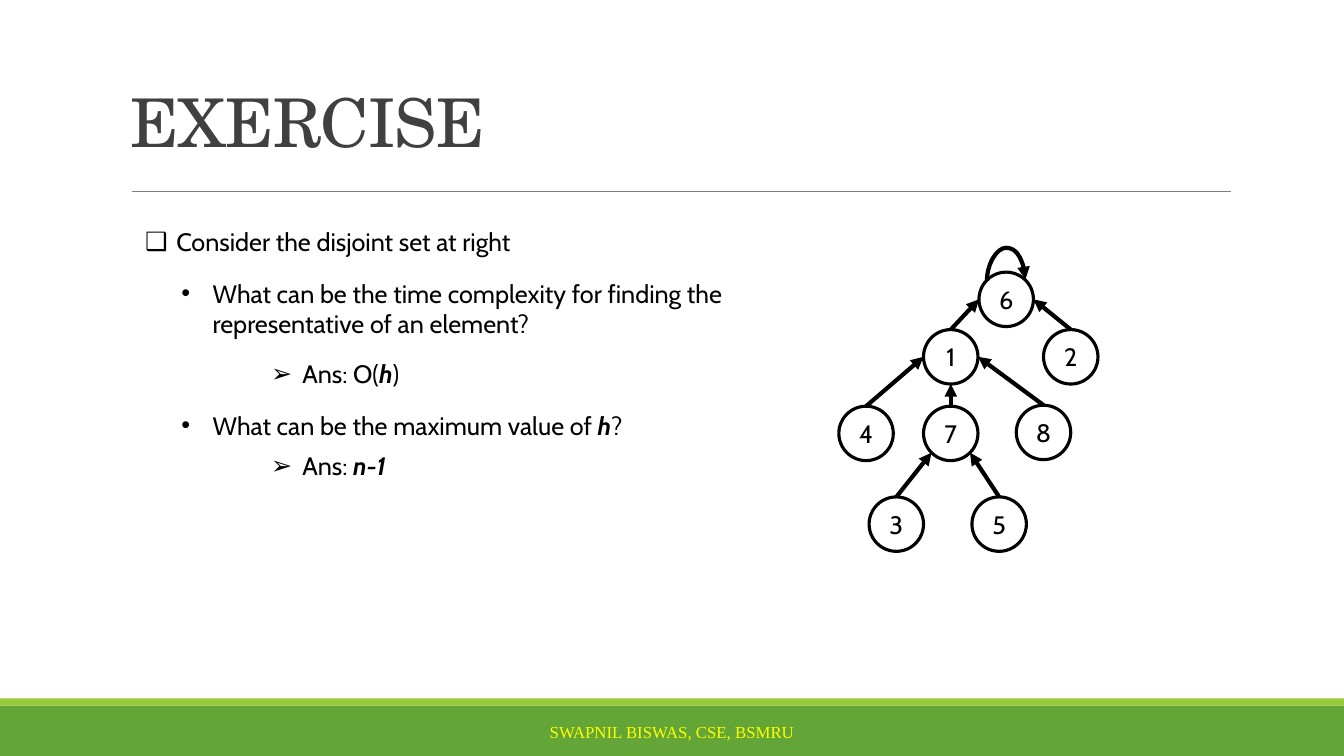
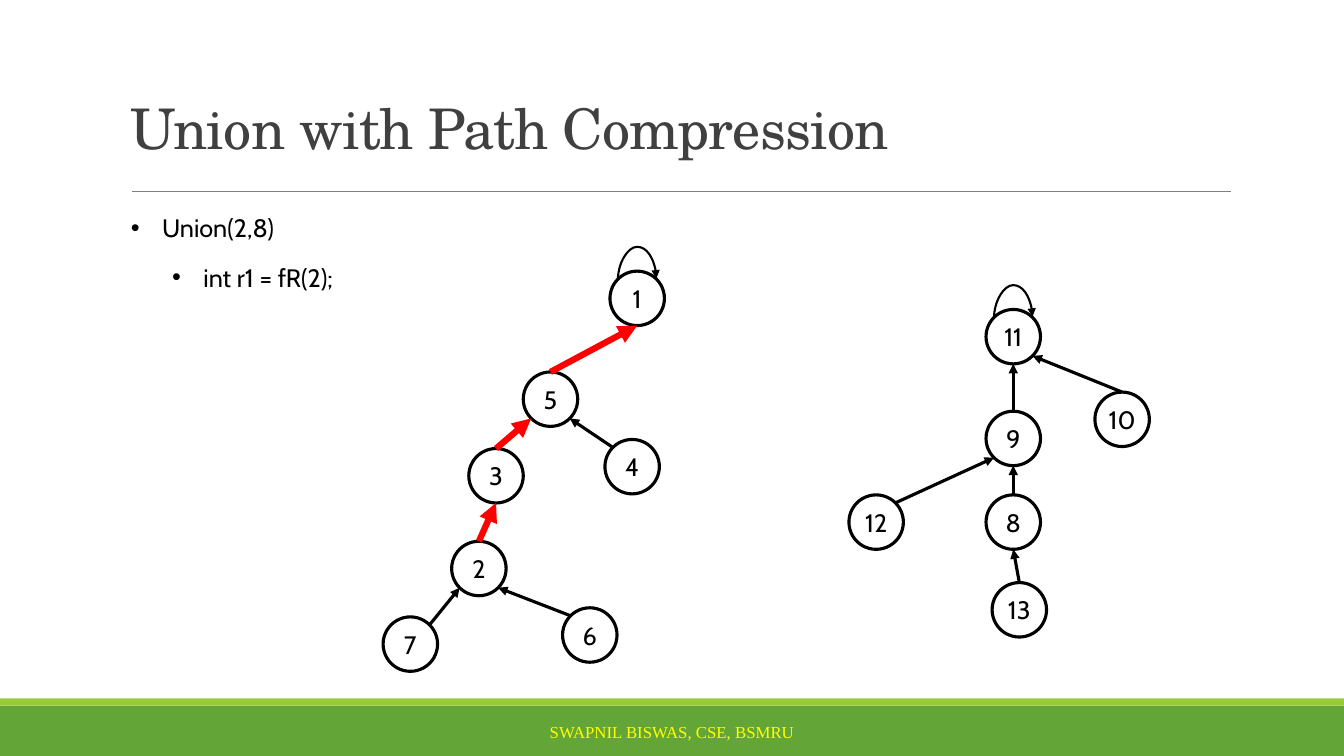
from math import cos, pi, sin

from lxml import etree
from pptx import Presentation
from pptx.dml.color import RGBColor
from pptx.enum.shapes import MSO_CONNECTOR, MSO_SHAPE
from pptx.enum.text import MSO_ANCHOR, PP_ALIGN
from pptx.oxml.ns import qn
from pptx.util import Inches, Pt

LEFT, CENTER = PP_ALIGN.LEFT, PP_ALIGN.CENTER
ANCHOR_TOP, ANCHOR_MIDDLE, ANCHOR_BOTTOM = MSO_ANCHOR.TOP, MSO_ANCHOR.MIDDLE, MSO_ANCHOR.BOTTOM
RECTANGLE, OVAL = MSO_SHAPE.RECTANGLE, MSO_SHAPE.OVAL
STRAIGHT, CURVE = MSO_CONNECTOR.STRAIGHT, MSO_CONNECTOR.CURVE

COLORS = {
    "background": "FFFFFF",
    "band": "63A537",
    "stripe": "99CB38",
    "rule": "808080",
    "title": "404040",
    "ink": "000000",
    "path": "FF0000",
    "footer": "FFFF00",
}
BODY_FONT, TITLE_FONT, FOOTER_FONT = "Cabin", "TeX Gyre Schola", "Times New Roman"
FOOTER = "SWAPNIL BISWAS, CSE, BSMRU"
NODE_SIZE = 0.54
BULLET_INDENT = 0.31

# Connection sites of an ellipse, counterclockwise from the top
(TOP, TOP_LEFT, LEFT_SIDE, BOTTOM_LEFT,
 BOTTOM, BOTTOM_RIGHT, RIGHT_SIDE, TOP_RIGHT) = range(8)


def color(name):
    return RGBColor.from_string(COLORS[name])


def add_element(parent, tag, **attributes):
    element = etree.SubElement(parent, qn(tag))
    for name, value in attributes.items():
        element.set(name, str(value))
    return element


def write_text(frame, text, *, size=18, font=BODY_FONT, ink="ink", align=LEFT,
               anchor=ANCHOR_TOP, wrap=False, bullet=None, line_spacing=None, tracking=None):
    """Write one paragraph; words between asterisks become bold italic."""
    frame.word_wrap = wrap
    frame.vertical_anchor = anchor
    paragraph = frame.paragraphs[0]
    paragraph.alignment = align
    if line_spacing:
        paragraph.line_spacing = line_spacing
    if bullet:
        properties = paragraph._p.get_or_add_pPr()
        properties.set("marL", str(Inches(BULLET_INDENT)))
        properties.set("indent", str(-Inches(BULLET_INDENT)))
        add_element(properties, "a:buFont", typeface="Arial")
        add_element(properties, "a:buChar", char=bullet)
    for index, part in enumerate(text.split("*")):
        if not part:
            continue
        run = paragraph.add_run()
        run.text = part
        run.font.name = font
        run.font.size = Pt(size)
        run.font.color.rgb = color(ink)
        if index % 2:
            run.font.bold = run.font.italic = True
        if tracking:
            run._r.get_or_add_rPr().set("spc", str(round(tracking * 100)))


class Deck:
    def __init__(self):
        self.presentation = Presentation()
        self.presentation.slide_width = Inches(13.33)
        self.presentation.slide_height = Inches(7.5)
        self.slide = None

    def new_slide(self, title, title_size):
        self.slide = self.presentation.slides.add_slide(self.presentation.slide_layouts[6])
        background = self.slide.background.fill
        background.solid()
        background.fore_color.rgb = color("background")
        self.shape(RECTANGLE, 0, 7, 13.33, 0.5, fill="band")
        self.shape(RECTANGLE, 0, 6.93, 13.33, 0.07, fill="stripe")
        self.line(STRAIGHT, (1.31, 1.9), (12.21, 1.9), ink="rule", width=0.5)
        self.text(title, 1.2, 0.06, 11, 1.59, size=title_size, font=TITLE_FONT, ink="title",
                  anchor=ANCHOR_BOTTOM, wrap=True, line_spacing=0.85, tracking=-0.5)
        self.text(FOOTER, 4.03, 7.06, 5.27, 0.4, size=12, font=FOOTER_FONT, ink="footer",
                  align=CENTER, anchor=ANCHOR_MIDDLE, wrap=True)

    def text(self, text, left, top, width, height=0.4, **style):
        box = self.slide.shapes.add_textbox(
            Inches(left), Inches(top), Inches(width), Inches(height))
        write_text(box.text_frame, text, **style)

    def shape(self, kind, left, top, width, height, *, fill, outline=None):
        shape = self.slide.shapes.add_shape(
            kind, Inches(left), Inches(top), Inches(width), Inches(height))
        shape.shadow.inherit = False
        shape.fill.solid()
        shape.fill.fore_color.rgb = color(fill)
        if outline:
            shape.line.color.rgb = color(outline)
            shape.line.width = Pt(2.25)
        else:
            shape.line.fill.background()
        return shape

    def line(self, kind, start, end, *, ink="ink", width=2.25, arrow=False):
        connector = self.slide.shapes.add_connector(
            kind, *(Inches(value) for value in (*start, *end)))
        connector.line.color.rgb = color(ink)
        connector.line.width = Pt(width)
        if arrow:
            add_element(connector.line._get_or_add_ln(), "a:tailEnd", type="triangle")
        add_element(connector._element.spPr, "a:effectLst")
        return connector

    def node(self, label, left, top):
        node = self.shape(OVAL, left, top, NODE_SIZE, NODE_SIZE,
                          fill="background", outline="ink")
        frame = node.text_frame
        frame.margin_left = frame.margin_right = frame.margin_top = frame.margin_bottom = 0
        write_text(frame, str(label), align=CENTER, anchor=ANCHOR_MIDDLE)
        return node

    @staticmethod
    def site_point(node, site):
        angle = pi / 2 + site * pi / 4
        radius = NODE_SIZE / 2
        return (node.left.inches + radius * (1 + cos(angle)),
                node.top.inches + radius * (1 - sin(angle)))

    @staticmethod
    def glue(connector, start, start_site, end, end_site):
        target = connector._element.find(".//" + qn("p:cNvCxnSpPr"))
        add_element(target, "a:stCxn", id=start.shape_id, idx=start_site)
        add_element(target, "a:endCxn", id=end.shape_id, idx=end_site)

    def edge(self, child, child_site, parent, parent_site, **style):
        connector = self.line(STRAIGHT, self.site_point(child, child_site),
                              self.site_point(parent, parent_site), arrow=True, **style)
        self.glue(connector, child, child_site, parent, parent_site)

    def self_loop(self, node, width):
        # A thin curved connector, turned a quarter so that it bulges upwards
        left_x, site_y = self.site_point(node, TOP_LEFT)
        right_x, _ = self.site_point(node, TOP_RIGHT)
        middle, half = (left_x + right_x) / 2, (right_x - left_x) / 2
        thin = Pt(1)
        connector = self.line(CURVE, (middle + thin.inches / 2, site_y + half),
                              (middle - thin.inches / 2, site_y - half),
                              width=width, arrow=True)
        properties = connector._element.spPr
        properties.find(qn("a:xfrm")).set("rot", "5400000")
        adjustments = properties.find(".//" + qn("a:avLst"))
        bulge = round(Inches(0.33) / thin * 100000)
        add_element(adjustments, "a:gd", name="adj1", fmla=f"val {bulge}")
        self.glue(connector, node, TOP_LEFT, node, TOP_RIGHT)

    def forest(self, positions, edges, roots, *, edge_width, loop_width, path=()):
        nodes = {label: self.node(label, *place) for label, place in positions.items()}
        for root in roots:
            self.self_loop(nodes[root], loop_width)
        for child, child_site, parent, parent_site in edges:
            style = {"width": edge_width}
            if (child, parent) in path:
                style = {"width": 4.5, "ink": "path"}
            self.edge(nodes[child], child_site, nodes[parent], parent_site, **style)


def exercise(deck):
    deck.new_slide("EXERCISE", 48)
    # Questions and answers
    question = "What can be the time complexity for finding the representative of an element?"
    deck.text("Consider the disjoint set at right", 1.34, 2.2, 4.08, bullet="❑")
    deck.text(question, 1.7, 2.71, 6.21, 0.71, bullet="•", wrap=True)
    deck.text("Ans: O(*h*)", 2.59, 3.51, 1.54, bullet="➢")
    deck.text("What can be the maximum value of *h*?", 1.7, 4.02, 6.21, bullet="•", wrap=True)
    deck.text("Ans: *n-1*", 2.59, 4.42, 1.43, bullet="➢")
    # Disjoint set
    positions = {
        6: (9.71, 2.7), 1: (9.16, 3.27), 2: (10.35, 3.27),
        4: (8.32, 4.03), 7: (9.16, 4.03), 8: (10.08, 4.02),
        3: (8.62, 4.93), 5: (9.64, 4.93),
    }
    edges = [
        (1, TOP, 6, LEFT_SIDE), (2, TOP, 6, RIGHT_SIDE),
        (4, TOP, 1, LEFT_SIDE), (7, TOP, 1, BOTTOM), (8, TOP, 1, RIGHT_SIDE),
        (3, TOP, 7, BOTTOM_LEFT), (5, TOP, 7, BOTTOM_RIGHT),
    ]
    deck.forest(positions, edges, [6], edge_width=3, loop_width=3)


def path_compression(deck):
    deck.new_slide("Union with Path Compression", 40)
    # Call being traced
    deck.text("Union(2,8)", 1.2, 2.06, 1.66, bullet="•")
    deck.text("int r1 = fR(2);", 1.61, 2.55, 1.98, bullet="•")
    # Two trees, with the path from 2 to its root marked
    positions = {
        1: (6.05, 2.69), 5: (5.19, 3.69), 4: (6, 4.36), 3: (4.65, 4.45),
        2: (4.48, 5.37), 6: (5.58, 6.03), 7: (3.8, 6.12),
        11: (9.78, 3.07), 10: (10.86, 3.89), 9: (9.78, 4.08),
        12: (8.42, 4.91), 8: (9.78, 4.91), 13: (9.84, 5.78),
    }
    edges = [
        (4, TOP_LEFT, 5, BOTTOM_RIGHT), (7, TOP_RIGHT, 2, BOTTOM_LEFT),
        (6, TOP_LEFT, 2, BOTTOM_RIGHT), (2, TOP, 3, BOTTOM),
        (3, TOP, 5, BOTTOM_LEFT), (5, TOP, 1, BOTTOM),
        (9, TOP, 11, BOTTOM), (10, TOP, 11, BOTTOM_RIGHT),
        (12, TOP_RIGHT, 9, BOTTOM_LEFT), (8, TOP, 9, BOTTOM), (13, TOP, 8, BOTTOM),
    ]
    deck.forest(positions, edges, [1, 11], edge_width=2.25, loop_width=1.5,
                path={(2, 3), (3, 5), (5, 1)})


def main():
    deck = Deck()
    exercise(deck)
    path_compression(deck)
    deck.presentation.save("out.pptx")


if __name__ == "__main__":
    main()
